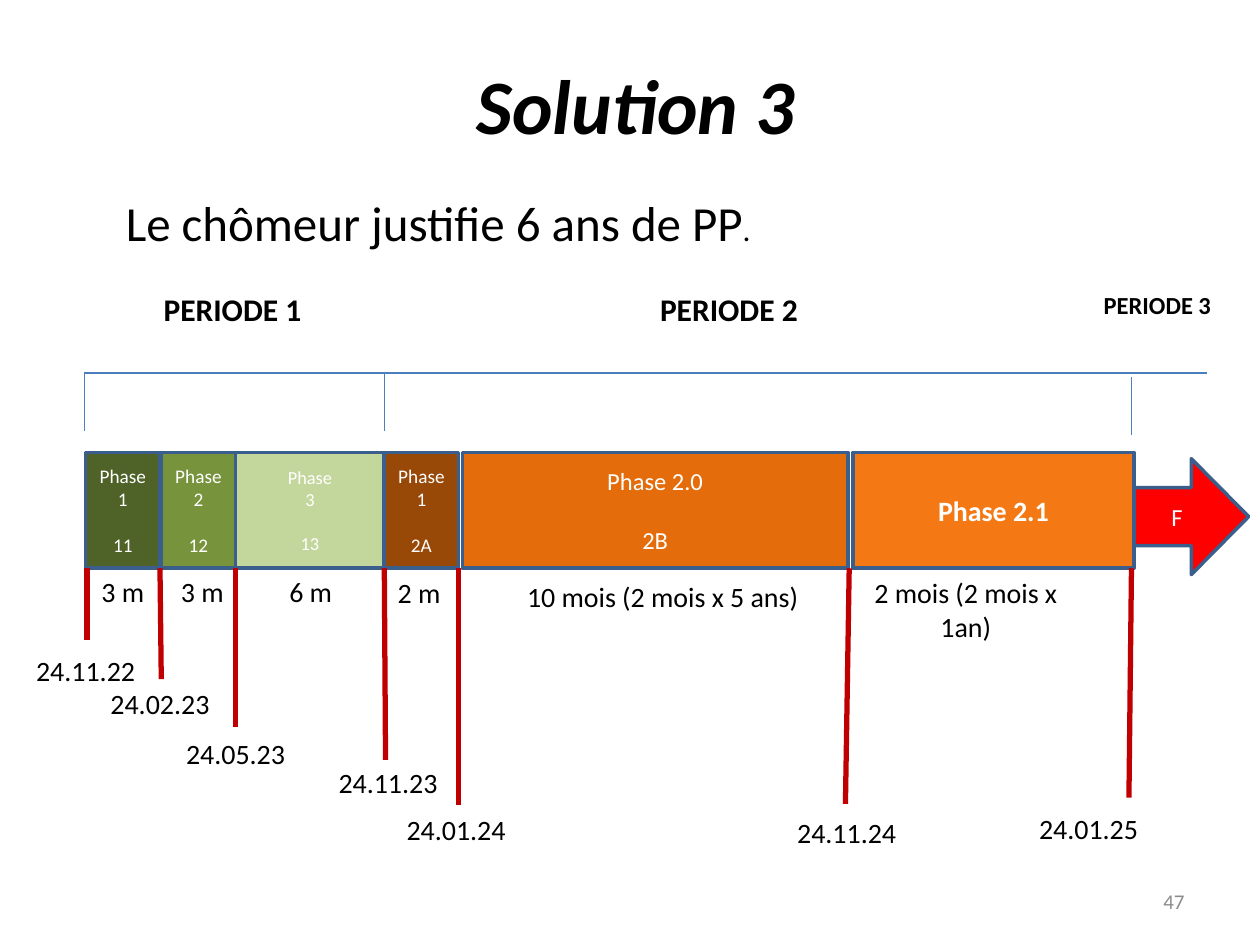
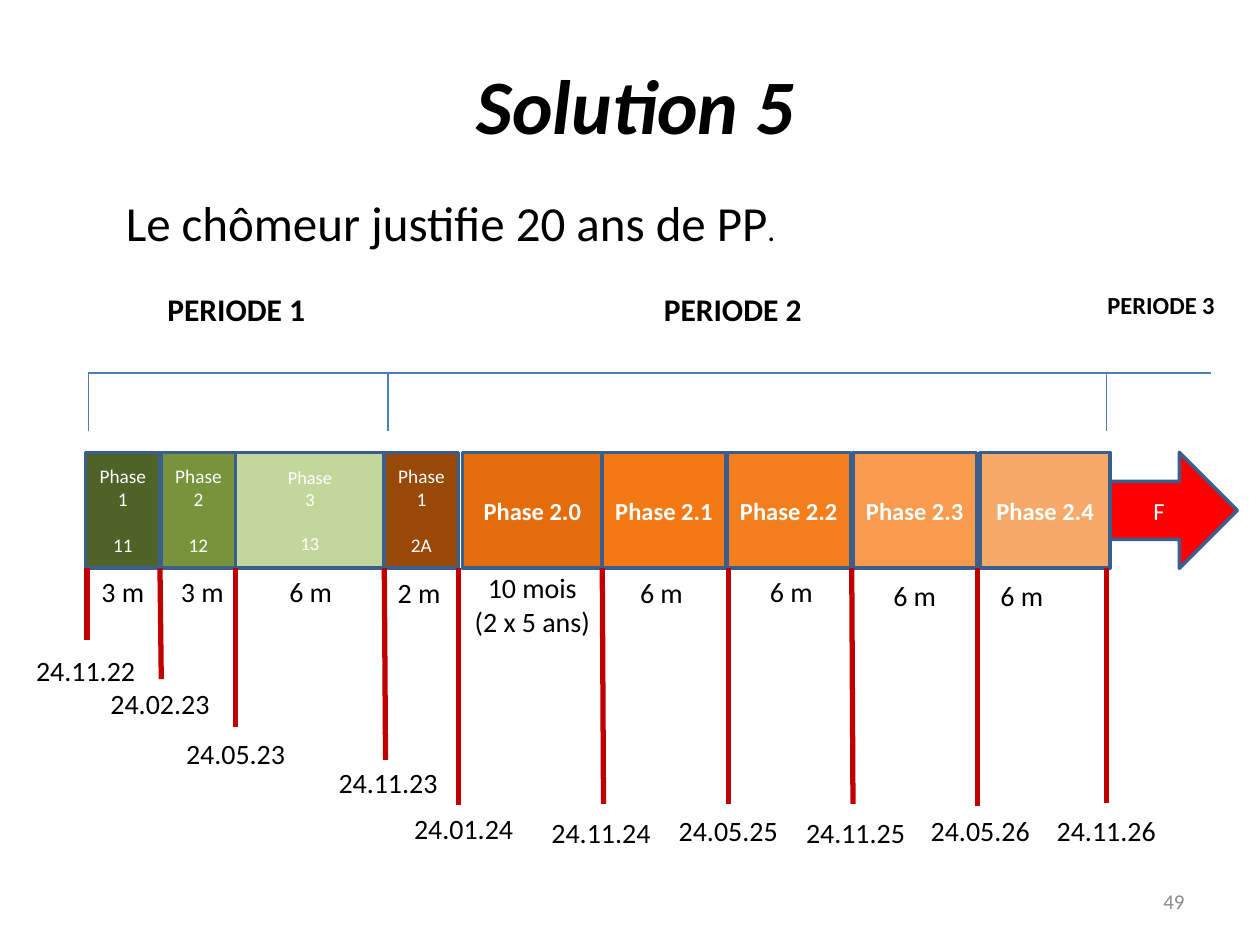
import typing

import pptx
import pptx.dml.color
import pptx.enum.shapes
import pptx.enum.text
import pptx.oxml
import pptx.util

Inches, Pt = pptx.util.Inches, pptx.util.Pt
ALIGN = pptx.enum.text.PP_ALIGN
ANCHOR = pptx.enum.text.MSO_ANCHOR
SHAPE = pptx.enum.shapes.MSO_SHAPE

FONT = "Calibri"
BLACK, WHITE, GREY = "000000", "FFFFFF", "8C8C8C"
BRACKET_BLUE, OUTLINE_BLUE, TICK_RED, ARROW_RED = "4B7EBC", "3A5F8C", "C00000", "FF0000"
BAND_LEFT, BAND_TOP, BAND_HEIGHT = 0.68, 3.59, 0.92
LABEL_WIDTH, LABEL_HEIGHT = 1.04, 0.37


class Phase(typing.NamedTuple):
    """A block of the band; left is measured from the band's left edge."""
    left: float
    width: float
    fill: str
    name: str
    code: str = ""
    size: float = 14
    bold: bool = False


class Milestone(typing.NamedTuple):
    """A dated tick; all places are measured from the band's lower left corner."""
    date: str
    tick: float
    length: float
    label_center: float
    label_top: float
    drift: float = 0


class Duration(typing.NamedTuple):
    """A caption under a phase, measured from the band's lower left corner."""
    text: str
    left: float
    top: float
    width: float = 0.55


# What both timelines share
FIRST_PHASES = [
    Phase(0, 0.59, "4F6228", "Phase\n1", "11", 11),
    Phase(0.6, 0.59, "77933C", "Phase\n2", "12", 11),
    Phase(1.19, 1.18, "C3D69B", "Phase\n3", "13", 10.5),
    Phase(2.37, 0.59, "984807", "Phase\n1", "2A", 11),
]
FIRST_MILESTONES = [
    Milestone("24.11.22", 0.01, 0.57, 0, 0.63),
    Milestone("24.02.23", 0.59, 0.88, 0.59, 0.89, 0.01),
    Milestone("24.05.23", 1.19, 1.26, 1.19, 1.29),
    Milestone("24.11.23", 2.37, 1.52, 2.4, 1.52, 0.01),
]
FIRST_DURATIONS = [
    Duration("3 m", 0.02, 0),
    Duration("3 m", 0.65, 0),
    Duration("6 m", 1.51, 0),
    Duration("2 m", 2.37, 0.01),
]


def color(hex_string):
    return pptx.dml.color.RGBColor.from_string(hex_string)


def style(font, size, hex_color=BLACK, bold=False, italic=False):
    font.name, font.size = FONT, Pt(size)
    font.bold, font.italic = bold, italic
    font.color.rgb = color(hex_color)


def add_text(slide, box, text, size, align=ALIGN.CENTER, hex_color=BLACK,
             bold=False, inset=0.1, anchor=ANCHOR.TOP):
    frame = slide.shapes.add_textbox(*map(Inches, box)).text_frame
    frame.word_wrap = True
    frame.vertical_anchor = anchor
    frame.margin_left = frame.margin_right = Inches(inset)
    frame.text = text
    for paragraph in frame.paragraphs:
        paragraph.alignment = align
        style(paragraph.font, size, hex_color, bold)
    return frame


def add_line(slide, start, end, hex_color, width):
    line = slide.shapes.add_connector(
        pptx.enum.shapes.MSO_CONNECTOR.STRAIGHT, *map(Inches, (*start, *end)))
    line.line.color.rgb = color(hex_color)
    line.line.width = Pt(width)
    properties = line._element.spPr
    properties.append(pptx.oxml.parse_xml(
        '<a:effectLst xmlns:a="http://schemas.openxmlformats.org/drawingml/2006/main"/>'))


def add_block(slide, kind, box, fill, text, size, bold=False, code=""):
    shape = slide.shapes.add_shape(kind, *map(Inches, box))
    shape.shadow.inherit = False
    shape.fill.solid()
    shape.fill.fore_color.rgb = color(fill)
    shape.line.color.rgb = color(OUTLINE_BLUE)
    shape.line.width = Pt(2)
    frame = shape.text_frame
    frame.word_wrap = True
    frame.vertical_anchor = ANCHOR.MIDDLE
    frame.text = f"{text}\n{code}" if code else text
    for paragraph in frame.paragraphs:
        paragraph.alignment = ALIGN.CENTER
        style(paragraph.font, size, WHITE, bold)
    if code:
        # One line of air above the code
        frame.paragraphs[-1].space_before = Pt(round(size * 1.22, 1))


def add_heading(slide, title, statement, number):
    placeholder = slide.shapes.title
    placeholder.left, placeholder.top = Inches(3.68), Inches(0.41)
    placeholder.width, placeholder.height = Inches(4.77), Inches(0.84)
    frame = placeholder.text_frame
    frame.auto_size = pptx.enum.text.MSO_AUTO_SIZE.NONE
    frame.vertical_anchor = ANCHOR.TOP
    frame.text = title
    frame.paragraphs[0].alignment = ALIGN.LEFT
    style(frame.paragraphs[0].font, 44, bold=True, italic=True)

    # Statement with a smaller full stop
    frame = add_text(slide, (0.9, 1.48, 7.73, 0.57), statement, 28, ALIGN.LEFT)
    paragraph = frame.paragraphs[0]
    paragraph.add_run().text = "."
    for run, size in zip(paragraph.runs, (28, 18)):
        style(run.font, size)

    add_text(slide, (7.17, 6.95, 2.33, 0.4), number, 12, ALIGN.RIGHT, GREY,
             anchor=ANCHOR.MIDDLE)


def add_periods(slide, left, top, last_drop, last_shift):
    """Period names above a bracket whose last drop stands at last_drop."""
    rail = top + 0.71
    for drop, shift in ((0, 0), (2.38, 0), (last_drop, last_shift)):
        add_line(slide, (left + drop, rail + shift + 0.46),
                 (left + drop, rail + shift), BRACKET_BLUE, 0.75)
    add_line(slide, (left, rail), (left + 8.91, rail), BRACKET_BLUE, 0.75)
    for name, offset, width, size in (("PERIODE 1", 0.08, 2.19, 18),
                                      ("PERIODE 2", 2.42, 5.39, 18),
                                      ("PERIODE 3", 7.97, 1.09, 14)):
        add_text(slide, (left + offset, top, width, 0.5), name, size, bold=True, inset=0.05)


def add_timeline(slide, left, top, phases, milestones, durations, arrow):
    bottom = top + BAND_HEIGHT

    # Band of phases, closed by the arrow
    arrow_left, arrow_top, arrow_width = arrow
    add_block(slide, SHAPE.RIGHT_ARROW,
              (left + arrow_left, top + arrow_top, arrow_width, BAND_HEIGHT),
              ARROW_RED, "F", 14)
    for phase in phases:
        add_block(slide, SHAPE.RECTANGLE, (left + phase.left, top, phase.width, BAND_HEIGHT),
                  phase.fill, phase.name, phase.size, phase.bold, phase.code)

    # Dated ticks
    for milestone in milestones:
        tick = left + milestone.tick
        add_line(slide, (tick, bottom), (tick + milestone.drift, bottom + milestone.length),
                 TICK_RED, 3)
        add_text(slide, (left + milestone.label_center - LABEL_WIDTH / 2,
                         bottom + milestone.label_top, LABEL_WIDTH, LABEL_HEIGHT),
                 milestone.date, 16, inset=0.05)

    # Durations
    for duration in durations:
        add_text(slide, (left + duration.left, bottom + duration.top,
                         duration.width, LABEL_HEIGHT), duration.text, 16, inset=0.05)


def add_solution(presentation, heading, periods, phases, milestones, durations, arrow):
    slide = presentation.slides.add_slide(presentation.slide_layouts[5])
    add_heading(slide, *heading)
    add_periods(slide, *periods)
    add_timeline(slide, BAND_LEFT, BAND_TOP, FIRST_PHASES + phases,
                 FIRST_MILESTONES + milestones, FIRST_DURATIONS + durations, arrow)


def main():
    presentation = pptx.Presentation()
    presentation.slide_width, presentation.slide_height = Inches(10), Inches(7.5)

    add_solution(
        presentation,
        heading=("Solution 3", "Le chômeur justifie 6 ans de PP", "47"),
        periods=(0.67, 2.25, 8.31, 0.03),
        phases=[
            Phase(2.99, 3.06, "E46C0A", "Phase 2.0", "2B"),
            Phase(6.09, 2.23, "F47914", "Phase 2.1", size=16, bold=True),
        ],
        milestones=[
            Milestone("24.01.24", 2.96, 1.88, 2.94, 1.89),
            Milestone("24.11.24", 6.06, 1.87, 6.04, 1.91, -0.03),
            Milestone("24.01.25", 8.3, 1.82, 7.96, 1.88, -0.02),
        ],
        durations=[
            Duration("10 mois (2 mois x 5 ans)", 3, 0.04, 3.16),
            Duration("2 mois (2 mois x 1an)", 6.09, 0.01, 1.79),
        ],
        arrow=(8.32, 0.05, 0.91),
    )

    # Four equal six-month phases follow phase 2.0
    six_months = [
        Phase(left, width, fill, f"Phase 2.{index}", bold=True)
        for index, (left, width, fill) in enumerate(
            ((4.1, 0.98, "F47914"), (5.09, 0.98, "F37E1D"),
             (6.09, 0.98, "F89B4E"), (7.1, 1.03, "F7A969")), 1)
    ]
    add_solution(
        presentation,
        heading=("Solution 5", "Le chômeur justifie 20 ans de PP", "49"),
        periods=(0.7, 2.25, 8.08, 0),
        phases=[Phase(2.99, 1.11, "E46C0A", "Phase 2.0", bold=True)] + six_months,
        milestones=[
            Milestone("24.01.24", 2.96, 1.88, 3, 1.88),
            Milestone("24.11.24", 4.1, 1.87, 4.09, 1.91, 0.01),
            Milestone("24.05.25", 5.1, 1.87, 5.1, 1.9),
            Milestone("24.11.25", 6.08, 1.87, 6.11, 1.91, 0.01),
            Milestone("24.05.26", 7.08, 1.89, 7.1, 1.9),
            Milestone("24.11.26", 8.1, 1.86, 8.1, 1.9),
        ],
        durations=[Duration("10 mois\n(2 x 5 ans)", 2.88, -0.03, 1.33)] + [
            Duration("6 m", left, top, 0.86)
            for left, top in ((4.14, 0.01), (5.17, 0), (6.15, 0.03), (7, 0.03))
        ],
        arrow=(8.13, 0, 1.01),
    )
    presentation.save("out.pptx")


if __name__ == "__main__":
    main()
